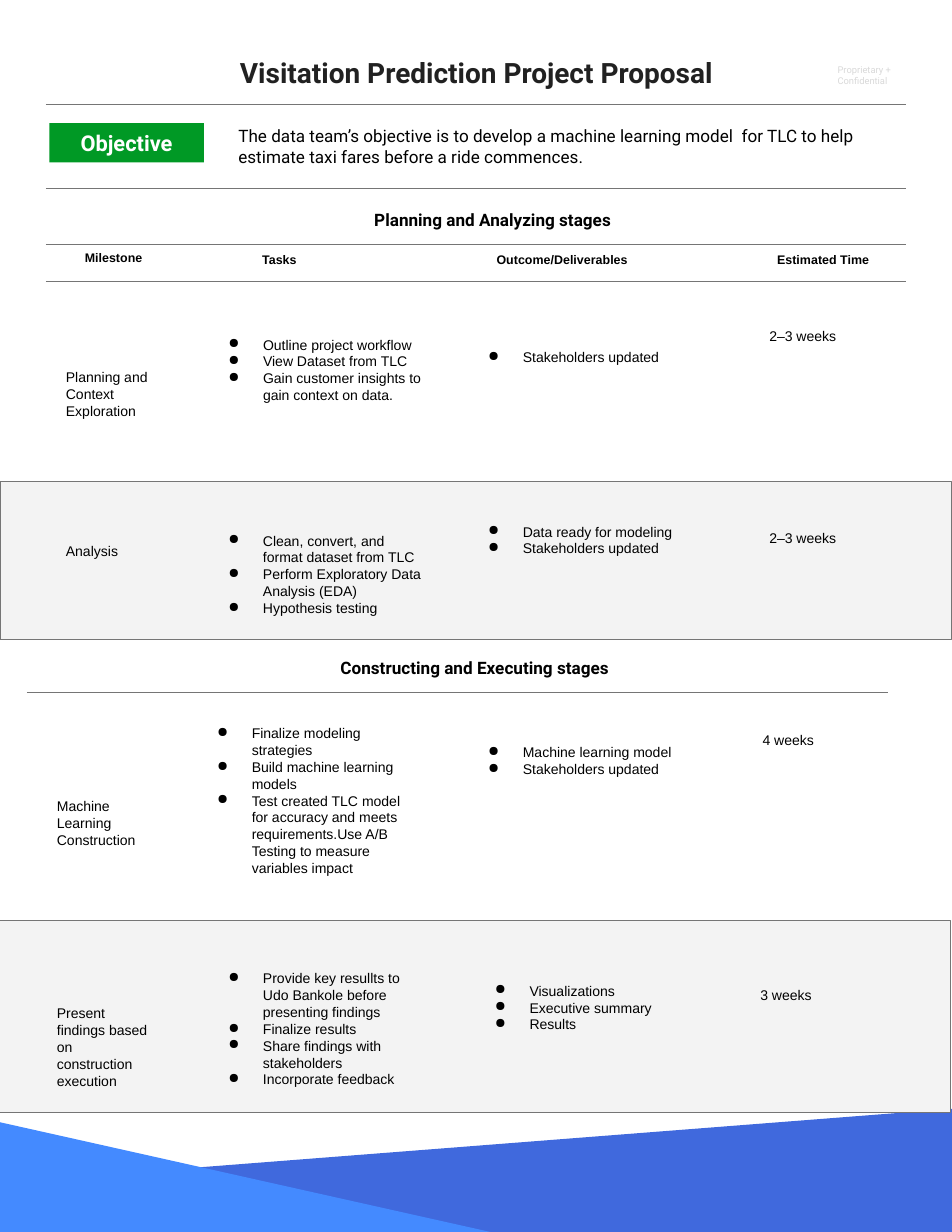
"""Build the one-page project proposal with its milestone grid."""
from lxml.etree import SubElement
from pptx import Presentation
from pptx.dml.color import RGBColor
from pptx.enum.shapes import MSO_CONNECTOR, MSO_SHAPE
from pptx.enum.text import MSO_ANCHOR, PP_ALIGN
from pptx.oxml.ns import qn
from pptx.util import Inches, Pt

COLUMNS, ROWS = 85, 110
CELL = Inches(0.1)
BLACK, RULE, BAND = "000000", "757575", "F3F3F3"
BODY = ("Arial", 9, BLACK, False)
HEADER = ("Arial", 8, BLACK, True)
STAGE = ("Roboto", 11, BLACK, True)

HEADERS = [
    ("Milestone", 5.5, 21.7, 9.3),
    ("Tasks", 20.3, 21.8, 9.3),
    ("Outcome/Deliverables", 43.3, 21.8, 13.8),
    ("Estimated Time", 66.6, 21.8, 13.8),
]
MILESTONES = [
    {
        "name": ("Planning and Context Exploration", 4.9, 31.9),
        "tasks": (["Outline project workflow", "View Dataset from TLC",
                   "Gain customer insights to gain context on data."], 17.5, 29, 22.5),
        "outcomes": (["Stakeholders updated"], 40.7, 30.4, 21.4),
        "time": ("2–3 weeks", 67.7, 28.5),
    },
    {
        "band": (0, 43, 14.1),
        "name": ("Analysis", 4.9, 47.7),
        "tasks": (["Clean, convert, and format dataset from TLC",
                   "Perform Exploratory Data Analysis (EDA)",
                   "Hypothesis testing"], 17.5, 46.5, 21.4),
        "outcomes": (["Data ready for modeling", "Stakeholders updated"], 40.7, 45.7, 21.7),
        "time": ("2–3 weeks", 67.7, 46.5),
    },
    {
        "name": ("Machine Learning Construction", 4.1, 70.2),
        "tasks": (["Finalize modeling strategies", "Build machine learning models",
                   "Test created TLC model for accuracy and meets requirements."
                   "Use A/B Testing to measure variables impact"], 16.5, 63.7, 21.7),
        "outcomes": (["Machine learning model", "Stakeholders updated"], 40.7, 65.4, 21.4),
        "time": ("4 weeks", 67.1, 64.6),
    },
    {
        "band": (-0.1, 82.2, 17.1),
        "name": ("Present findings based on construction execution", 4.1, 88.7),
        "tasks": (["Provide key resullts to Udo Bankole before presenting findings",
                   "Finalize results", "Share findings with stakeholders",
                   "Incorporate feedback"], 17.5, 85.6, 21.7),
        "outcomes": (["Visualizations", "Executive summary", "Results"], 41.3, 86.7, 21.7),
        "time": ("3 weeks", 66.9, 87.3),
    },
]


def grid(*cells):
    """Turn counts of grid cells into lengths."""
    return [round(count * CELL) for count in cells]


def colour(hex_code):
    """Return the colour of a hex string."""
    return RGBColor.from_string(hex_code)


def paint(shape, fill, outline=None):
    """Give a shape a flat fill and an optional thin outline."""
    shape.shadow.inherit = False
    shape.fill.solid()
    shape.fill.fore_color.rgb = colour(fill)
    if outline:
        shape.line.color.rgb = colour(outline)
        shape.line.width = Pt(0.75)
    else:
        shape.line.fill.background()


def add_words(paragraph, words, style):
    """Add one styled run to a paragraph."""
    run = paragraph.add_run()
    run.text = words
    font = run.font
    font.name, size, hex_code, font.bold = style
    font.size = Pt(size)
    font.color.rgb = colour(hex_code)


def add_bullet(paragraph):
    """Give a paragraph a round bullet and a hanging indent."""
    properties = paragraph._p.get_or_add_pPr()
    properties.set("marL", str(Inches(0.5)))
    properties.set("indent", str(-Inches(0.31)))
    bullet_colour = SubElement(properties, qn("a:buClr"))
    SubElement(bullet_colour, qn("a:srgbClr")).set("val", BLACK)
    SubElement(properties, qn("a:buChar")).set("char", "●")


def add_text(slide, lines, box, style=BODY, align=PP_ALIGN.LEFT, bulleted=False):
    """Add a wrapped text box with one paragraph per line and return its frame."""
    frame = slide.shapes.add_textbox(*grid(*box)).text_frame
    frame.word_wrap = True
    frame.margin_left = frame.margin_right = CELL
    frame.margin_top = frame.margin_bottom = CELL
    for index, words in enumerate(lines):
        paragraph = frame.add_paragraph() if index else frame.paragraphs[0]
        paragraph.alignment = align
        if bulleted:
            add_bullet(paragraph)
        add_words(paragraph, words, style)
    return frame


def add_rule(slide, left, top, right):
    """Add a thin horizontal rule."""
    rule = slide.shapes.add_connector(MSO_CONNECTOR.STRAIGHT, *grid(left, top, right, top))
    rule.line.color.rgb = colour(RULE)
    rule.line.width = Pt(0.75)
    SubElement(rule._element.spPr, qn("a:effectLst"))


def add_block(slide, box, fill, outline=None):
    """Add a filled rectangle and return it."""
    block = slide.shapes.add_shape(MSO_SHAPE.RECTANGLE, *grid(*box))
    paint(block, fill, outline)
    return block


def add_wedge(slide, corners, fill):
    """Add a filled polygon for the footer."""
    start, *others = [grid(*corner) for corner in corners]
    builder = slide.shapes.build_freeform(*start)
    builder.add_line_segments(others, close=True)
    paint(builder.convert_to_shape(), fill)


def add_objective(slide):
    """Add the objective label and its statement."""
    label = add_block(slide, (4.4, 11, 13.8, 3.5), "009925").text_frame
    label.vertical_anchor = MSO_ANCHOR.MIDDLE
    label.margin_top = label.margin_bottom = Inches(0.07)
    label.paragraphs[0].alignment = PP_ALIGN.CENTER
    add_words(label.paragraphs[0], "Objective", ("Roboto", 14, "FFFFFF", True))
    statement = ("The data team’s objective is to develop a machine learning model  "
                 "for TLC to help estimate taxi fares before a ride commences.")
    add_text(slide, [statement], (20.3, 10.2, 60.6, 5.2), ("Roboto", 11, BLACK, False))


def add_milestone(slide, milestone):
    """Add one row of the plan, on a grey band if it has one."""
    if "band" in milestone:
        left, top, height = milestone["band"]
        add_block(slide, (left, top, COLUMNS, height), BAND, RULE)
    for part, width in (("name", 10.4), ("time", 13.8)):
        words, left, top = milestone[part]
        add_text(slide, [words], (left, top, width, 3.5))
    for part in ("tasks", "outcomes"):
        items, left, top, width = milestone[part]
        add_text(slide, items, (left, top, width, 2 + 1.5 * len(items)), bulleted=True)


def main():
    """Build and save the proposal."""
    deck = Presentation()
    deck.slide_width, deck.slide_height = grid(COLUMNS, ROWS)
    slide = deck.slides.add_slide(deck.slide_layouts[6])

    add_text(slide, ["Proprietary + Confidential"], (73.8, 4.7, 11.2, 6.5),
             ("Roboto", 6, "D9D9D9", False))
    add_wedge(slide, [(COLUMNS, ROWS), (COLUMNS, 99), (0.2, 105.6), (0.3, ROWS)], "4069DD")
    add_wedge(slide, [(43.8, ROWS), (0, 100.2), (0, ROWS)], "448AFF")

    title = add_text(slide, ["Visitation Prediction Project Proposal "], (12.1, 4.2, 61.5, 7.1),
                     ("Roboto", 18, "212121", True), PP_ALIGN.CENTER)
    title.paragraphs[0].line_spacing = 0.95
    for top in (9.3, 16.8, 21.8, 25.1):
        add_rule(slide, 4.1, top, 80.9)
    add_rule(slide, 2.4, 61.8, 79.3)

    add_objective(slide)
    for words, left, top in (("Planning and Analyzing stages", 26.7, 17.8),
                             ("Constructing and Executing stages", 25.1, 57.8)):
        add_text(slide, [words], (left, top, 34.6, 4.1), STAGE, PP_ALIGN.CENTER)
    for words, left, top, width in HEADERS:
        add_text(slide, [words], (left, top, width, 3.4), HEADER, PP_ALIGN.CENTER)
    for milestone in MILESTONES:
        add_milestone(slide, milestone)

    deck.save("out.pptx")


if __name__ == "__main__":
    main()
